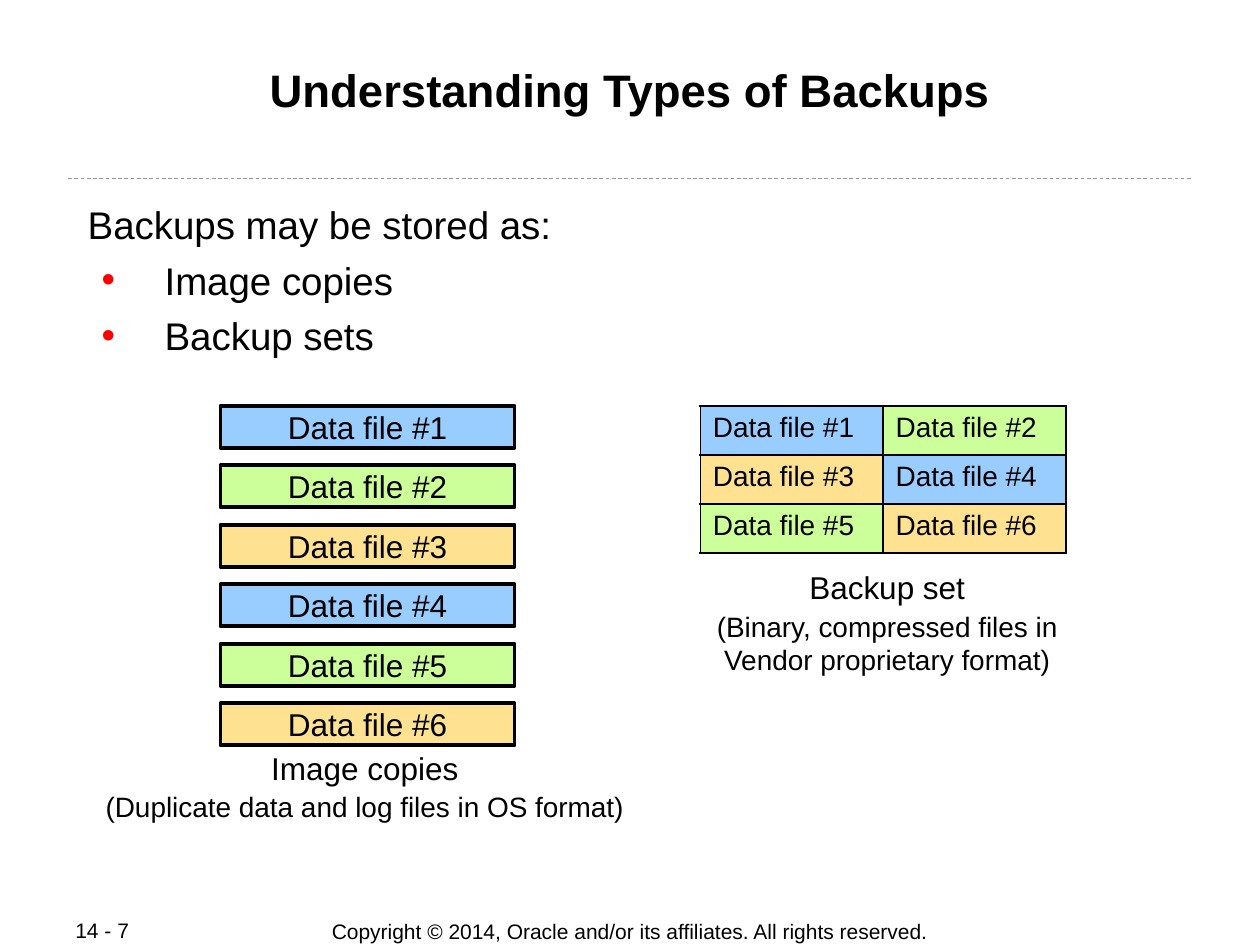
from itertools import cycle
from lxml.etree import SubElement
from pptx import Presentation
from pptx.dml.color import RGBColor
from pptx.enum.dml import MSO_LINE
from pptx.enum.shapes import MSO_CONNECTOR, MSO_SHAPE
from pptx.enum.text import MSO_ANCHOR as Anchor, MSO_AUTO_SIZE as AutoSize, PP_ALIGN as Align
from pptx.oxml.ns import qn
from pptx.util import Inches, Pt

THEME = {
    "font": "Arial", "ink": "000000", "rule": "999999", "bullet": "FF0000",
    "files": ["99CCFF", "CCFF99", "FFE291"],
    "title": 26, "body": 22, "label": 18, "detail": 16, "footer": 12,
}


def write(frame, lines, sizes, align=Align.LEFT, anchor=Anchor.TOP, bold=False,
          wrap=True, gap=0, inset=(0.1, 0.05)):
    frame.auto_size = AutoSize.NONE
    frame.word_wrap = wrap
    frame.vertical_anchor = anchor
    frame.margin_left = frame.margin_right = Inches(inset[0])
    frame.margin_top = frame.margin_bottom = Inches(inset[1])
    for index, (line, size) in enumerate(zip(lines, sizes)):
        paragraph = frame.add_paragraph() if index else frame.paragraphs[0]
        paragraph.alignment = align
        paragraph.space_before = Pt(gap if index else 0)
        run = paragraph.add_run()
        run.text = line
        run.font.name = THEME["font"]
        run.font.size = Pt(THEME[size])
        run.font.bold = bold
        run.font.color.rgb = RGBColor.from_string(THEME["ink"])


deck = Presentation()
deck.slide_width, deck.slide_height = Inches(10), Inches(7.5)
COL, ROW = deck.slide_width / 120, deck.slide_height / 90


def grid(left, top, width, height):
    return round(left * COL), round(top * ROW), round(width * COL), round(height * ROW)


slide = deck.slides.add_slide(deck.slide_layouts[1])
shapes = slide.shapes
ink = RGBColor.from_string(THEME["ink"])

copyright_line = shapes.add_textbox(*grid(33, 87.4, 54, 2.5))
write(copyright_line.text_frame,
      ["Copyright © 2014, Oracle and/or its affiliates. All rights reserved."],
      ["footer"], align=Align.CENTER, anchor=Anchor.MIDDLE, wrap=False)
page = shapes.add_textbox(*grid(6, 87.4, 12.7, 2.4))
write(page.text_frame, ["14 - 7"], ["footer"], anchor=Anchor.MIDDLE)

rule = shapes.add_connector(MSO_CONNECTOR.STRAIGHT, *grid(6.5, 17, 113.5, 17))
rule.line.color.rgb = RGBColor.from_string(THEME["rule"])
rule.line.width = Pt(0.5)
rule.line.dash_style = MSO_LINE.DASH
SubElement(rule._element.spPr, qn("a:effectLst"))

heading = shapes.title
heading.left, heading.top, heading.width, heading.height = grid(8, 5.75, 104, 11.5)
write(heading.text_frame, ["Understanding Types of Backups"], ["title"],
      align=Align.CENTER, bold=True, inset=(0.01, 0.01))

storage = slide.placeholders[1]
storage.left, storage.top, storage.width, storage.height = grid(8, 19, 104, 23)
write(storage.text_frame, ["Backups may be stored as:", "Image copies", "Backup sets"],
      ["body"] * 3, gap=5.5, inset=(0.01, 0.01))
intro, *kinds = storage.text_frame.paragraphs
intro_format = intro._p.get_or_add_pPr()
intro_format.set("marL", str(Inches(0.01)))
intro_format.set("indent", str(Inches(0.01)))
SubElement(intro_format, qn("a:buNone"))
for kind in kinds:
    kind.level = 1
    kind_format = kind._p.get_or_add_pPr()
    kind_format.set("marL", str(Inches(0.63)))
    kind_format.set("indent", str(Inches(-0.5)))
    bullet_color = SubElement(kind_format, qn("a:buClr"))
    SubElement(bullet_color, qn("a:srgbClr"), val=THEME["bullet"])
    SubElement(kind_format, qn("a:buFont"), typeface=THEME["font"])
    SubElement(kind_format, qn("a:buChar"), char="•")

backup_frame = shapes.add_table(3, 2, *grid(66.7, 38.65, 34.8, 14.04))
backup_set = backup_frame.table
backup_set.first_row = backup_set.horz_banding = False

files = [f"Data file #{number}" for number in range(1, 7)]
for index, (name, color) in enumerate(zip(files, cycle(THEME["files"]))):
    tint = RGBColor.from_string(color)
    image_copy = shapes.add_shape(MSO_SHAPE.RECTANGLE, *grid(21, 38.65 + index * 17 / 3, 28, 4))
    image_copy.shadow.inherit = False
    image_copy.fill.solid()
    image_copy.fill.fore_color.rgb = tint
    image_copy.line.color.rgb = ink
    image_copy.line.width = Pt(2.25)
    write(image_copy.text_frame, [name], ["label"], align=Align.CENTER,
          anchor=Anchor.MIDDLE, wrap=False)

    cell = backup_set.cell(*divmod(index, 2))
    write(cell.text_frame, [name], ["detail"])
    cell_format = cell._tc.get_or_add_tcPr()
    for side in ("lnL", "lnR", "lnT", "lnB"):
        border = SubElement(cell_format, qn(f"a:{side}"), w=str(Pt(1.08)))
        SubElement(SubElement(border, qn("a:solidFill")), qn("a:srgbClr"), val=THEME["ink"])
    cell.fill.solid()
    cell.fill.fore_color.rgb = tint

captions = [
    ((5, 70.7, 59.5, 8.4), "Image copies", "(Duplicate data and log files in OS format)"),
    ((64, 53.5, 41, 11.5), "Backup set", "(Binary, compressed files in Vendor proprietary format)"),
]
for place, name, detail in captions:
    caption = shapes.add_textbox(*grid(*place))
    write(caption.text_frame, [name, detail], ["label", "detail"], align=Align.CENTER, gap=2)

deck.save("out.pptx")
